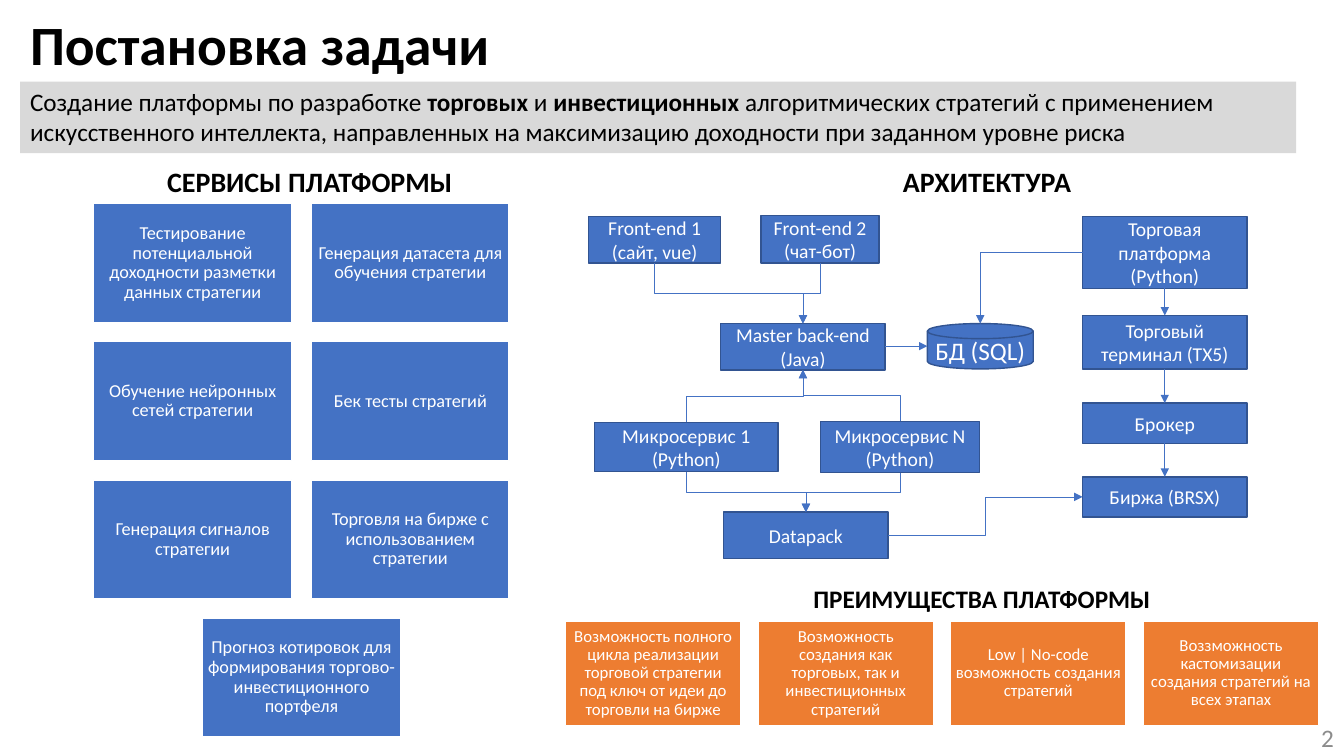
from dataclasses import dataclass

import pptx
import pptx.dml.color
import pptx.enum.shapes
import pptx.enum.text
import pptx.oxml.ns
import pptx.oxml.xmlchemy
import pptx.util

Color = pptx.dml.color.RGBColor
Shape = pptx.enum.shapes.MSO_SHAPE
Align = pptx.enum.text.PP_ALIGN
Anchor = pptx.enum.text.MSO_ANCHOR

BLACK = Color(0x00, 0x00, 0x00)
WHITE = Color(0xFF, 0xFF, 0xFF)
BLUE = Color(0x44, 0x72, 0xC4)
NAVY = Color(0x32, 0x54, 0x91)
ORANGE = Color(0xED, 0x7D, 0x31)
SILVER = Color(0xD9, 0xD9, 0xD9)
GRAY = Color(0x8C, 0x8C, 0x8C)
FONT = "Calibri"
WIDTH = pptx.util.Inches(13.33)
HEIGHT = pptx.util.Inches(7.5)


@dataclass(frozen=True)
class Box:
    """Left, top, width and height in percent of the slide."""
    x: float
    y: float
    w: float
    h: float

    def side(self, name: str) -> tuple[float, float]:
        across, down = {"left": (0, 0.5), "right": (1, 0.5),
                        "top": (0.5, 0), "base": (0.5, 1)}[name]
        return self.x + self.w * across, self.y + self.h * down


@dataclass(frozen=True)
class Style:
    size: float
    color: Color = WHITE
    bold: bool = False
    align: Align = Align.CENTER
    anchor: Anchor = Anchor.MIDDLE
    space: float = 1.0
    inset: float = 0.1
    wrap: bool = True


@dataclass(frozen=True)
class Node:
    box: Box
    text: str
    shape: Shape = Shape.RECTANGLE
    style: Style = Style(14)


@dataclass(frozen=True)
class Link:
    start: str
    out: str
    end: str
    into: str


HEAD = Style(20, BLACK, True, Align.LEFT, Anchor.TOP, wrap=False)
LABELS = [
    (Box(1.5, 2.67, 61.8, 7.2), "Постановка задачи", Style(39.6, BLACK, True, Align.LEFT, space=0.9)),
    (Box(11.7, 21.07, 22.95, 5.87), "СЕРВИСЫ ПЛАТФОРМЫ", HEAD),
    (Box(66.45, 21.07, 14.1, 5.87), "АРХИТЕКТУРА", HEAD),
    (Box(59.78, 76.53, 26.85, 5.33), "ПРЕИМУЩЕСТВА ПЛАТФОРМЫ",
     Style(18, BLACK, True, Align.LEFT, Anchor.TOP, wrap=False)),
    (Box(77.48, 94.93, 22.5, 5.33), "2", Style(18, GRAY, align=Align.RIGHT)),
]
GOAL = [
    ("Создание платформы по разработке ", False),
    ("торговых", True),
    (" и ", False),
    ("инвестиционных", True),
    (" алгоритмических стратегий с применением искусственного интеллекта, "
     "направленных на максимизацию доходности при заданном уровне риска", False),
]
TASKS = [
    "Тестирование потенциальной доходности разметки данных стратегии",
    "Генерация датасета для обучения стратегии",
    "Обучение нейронных сетей стратегии",
    "Бек тесты стратегий",
    "Генерация сигналов стратегии",
    "Торговля на бирже с использованием стратегии",
    "Прогноз котировок для формирования торгово-инвестиционного портфеля",
]
GAINS = [
    "Возможность полного цикла реализации торговой стратегии под ключ от идеи до торговли на бирже",
    "Возможность создания как торговых, так и инвестиционных стратегий",
    "Low | No-code возможность создания стратегий",
    "Воззможность кастомизации создания стратегий на всех этапах",
]
NODES = {
    "site": Node(Box(43.8, 28.67, 9.83, 6.13), "Front-end 1 (сайт, vue)"),
    "chat": Node(Box(56.63, 28.53, 8.78, 6.27), "Front-end 2 (чат-бот)"),
    "master": Node(Box(53.63, 42.8, 12.23, 6.13), "Master back-end (Java)"),
    "first": Node(Box(44.25, 55.87, 13.65, 6.53), "Микросервис 1 (Python)"),
    "last": Node(Box(61.05, 55.73, 11.85, 6.8), "Микросервис N (Python)"),
    "base": Node(Box(69, 42.8, 7.88, 6), "БД (SQL)",
                 Shape.FLOWCHART_MAGNETIC_DISK, Style(18, wrap=False)),
    "pack": Node(Box(53.85, 67.73, 12.23, 6.13), "Datapack"),
    "trade": Node(Box(80.55, 28.67, 12.23, 9.47), "Торговая платформа (Python)"),
    "desk": Node(Box(80.55, 41.73, 12.23, 7.07), "Торговый терминал (TX5)"),
    "broker": Node(Box(80.55, 53.33, 12.23, 5.33), "Брокер"),
    "market": Node(Box(80.55, 63.07, 12.23, 5.33), "Биржа (BRSX)"),
}
LINKS = [
    Link("site", "base", "master", "top"),
    Link("chat", "base", "master", "top"),
    Link("master", "right", "base", "left"),
    Link("first", "top", "master", "base"),
    Link("last", "top", "master", "base"),
    Link("first", "base", "pack", "top"),
    Link("last", "base", "pack", "top"),
    Link("trade", "left", "base", "top"),
    Link("trade", "base", "desk", "top"),
    Link("desk", "base", "broker", "top"),
    Link("broker", "base", "market", "top"),
    Link("pack", "right", "market", "left"),
]


def scale(x: float, y: float) -> tuple[int, int]:
    return round(WIDTH * x / 100), round(HEIGHT * y / 100)


def write(frame, runs: list[tuple[str, bool]], style: Style) -> None:
    frame.word_wrap = style.wrap
    frame.vertical_anchor = style.anchor
    inset = pptx.util.Inches(style.inset)
    frame.margin_left = frame.margin_right = inset
    frame.margin_top = frame.margin_bottom = pptx.util.Inches(0.05)
    para = frame.paragraphs[0]
    para.alignment = style.align
    para.line_spacing = style.space
    para.font.name = FONT
    para.font.size = pptx.util.Pt(style.size)
    para.font.color.rgb = style.color
    para.font.bold = style.bold
    for text, bold in runs:
        run = para.add_run()
        run.text = text
        if bold:
            run.font.bold = True


def label(slide, box: Box, text: str, style: Style) -> None:
    area = slide.shapes.add_textbox(*scale(box.x, box.y), *scale(box.w, box.h))
    write(area.text_frame, [(text, False)], style)


def block(slide, box: Box, runs: list[tuple[str, bool]], style: Style, fill: Color,
          edge: Color | None, kind: Shape = Shape.RECTANGLE) -> None:
    shape = slide.shapes.add_shape(kind, *scale(box.x, box.y), *scale(box.w, box.h))
    shape.shadow.inherit = False
    shape.fill.solid()
    shape.fill.fore_color.rgb = fill
    if edge is None:
        shape.line.fill.background()
    else:
        shape.line.color.rgb = edge
        shape.line.width = pptx.util.Pt(1)
    write(shape.text_frame, runs, style)


def arrow(slide, link: Link) -> None:
    ax, ay = scale(*NODES[link.start].box.side(link.out))
    bx, by = scale(*NODES[link.end].box.side(link.into))
    upright = link.out in ("top", "base")
    corner = not upright and link.into in ("top", "base")
    if upright:
        mx, my, dx, dy = (ax + bx) // 2, (ay + by) // 2, bx - ax, by - ay
        ax, ay, bx, by = mx - dy // 2, my + dx // 2, mx + dy // 2, my - dx // 2
    line = slide.shapes.add_connector(pptx.enum.shapes.MSO_CONNECTOR.ELBOW, ax, ay, bx, by)
    line.line.color.rgb = BLUE
    line.line.width = pptx.util.Pt(0.5)
    props = line._element.spPr
    if upright:
        props.find(pptx.oxml.ns.qn("a:xfrm")).set("rot", "5400000")
    if corner:
        props.find(pptx.oxml.ns.qn("a:prstGeom")).set("prst", "bentConnector2")
    tail = pptx.oxml.xmlchemy.OxmlElement("a:tailEnd")
    tail.set("type", "triangle")
    props.find(pptx.oxml.ns.qn("a:ln")).append(tail)
    props.append(pptx.oxml.xmlchemy.OxmlElement("a:effectLst"))


def main() -> None:
    deck = pptx.Presentation()
    deck.slide_width, deck.slide_height = WIDTH, HEIGHT
    slide = deck.slides.add_slide(deck.slide_layouts[6])
    block(slide, Box(1.5, 10.8, 94.95, 9.47), GOAL,
          Style(18, BLACK, align=Align.LEFT, anchor=Anchor.TOP), SILVER, None)
    for box, text, style in LABELS:
        label(slide, box, text, style)
    for i, text in enumerate(TASKS):
        row, col = divmod(i, 2)
        shift = 0.5 if i == len(TASKS) - 1 else col
        box = Box(6.98 + 16.2 * shift, 26.93 + 18.27 * row, 14.7, 15.73)
        block(slide, box, [(text, False)], Style(13, space=0.9, inset=0.05), BLUE, WHITE)
    for i, text in enumerate(GAINS):
        box = Box(42.08 + 14.33 * i, 82.13, 13.05, 13.87)
        block(slide, box, [(text, False)], Style(12, space=0.9, inset=0.05), ORANGE, WHITE)
    for node in NODES.values():
        block(slide, node.box, [(node.text, False)], node.style, BLUE, NAVY, node.shape)
    for link in LINKS:
        arrow(slide, link)
    deck.save("out.pptx")


if __name__ == "__main__":
    main()
